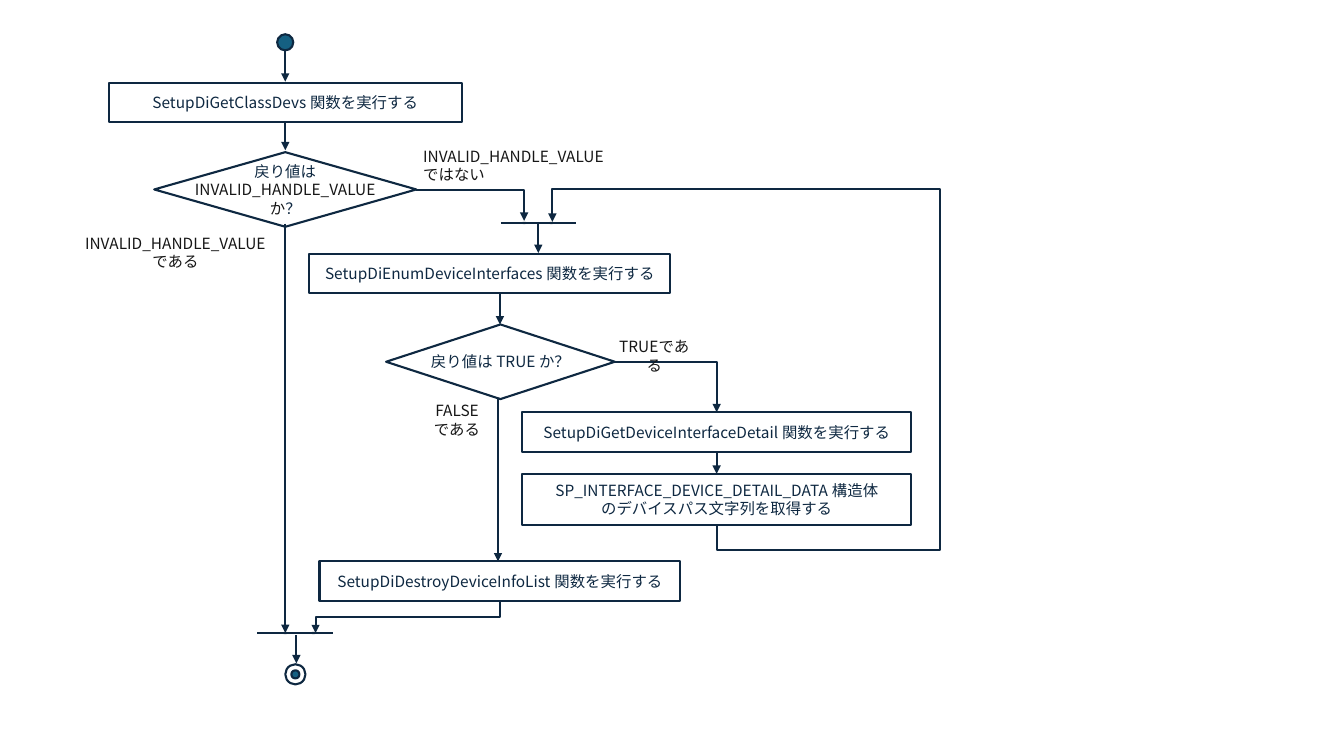
from lxml.etree import SubElement
from pptx import Presentation
from pptx.dml.color import RGBColor
from pptx.enum.shapes import MSO_CONNECTOR as Link, MSO_SHAPE as Shape
from pptx.enum.text import MSO_ANCHOR as Anchor, MSO_AUTO_SIZE as AutoSize, PP_ALIGN as Align
from pptx.oxml.ns import qn
from pptx.util import Pt

NAVY = RGBColor(0x0E, 0x28, 0x41)
INK = RGBColor(0x16, 0x16, 0x16)
TEAL = RGBColor(0x15, 0x60, 0x82)
GREY = RGBColor(0xE8, 0xE8, 0xE8)
WHITE = RGBColor(0xFF, 0xFF, 0xFF)


class FlowChart:
    font = "Noto Sans CJK JP"
    size = 11
    stroke = 1.5

    def __init__(self, page):
        self.shapes = page.shapes

    def fill_text(self, frame, lines, color=NAVY, align=Align.CENTER, wrap=True):
        """Fill a text frame; a line is a string or a list of (text, colour) spans."""
        frame.word_wrap = wrap
        for index, line in enumerate(lines):
            para = frame.paragraphs[0] if index == 0 else frame.add_paragraph()
            para.alignment = align
            for text, ink in [(line, color)] if isinstance(line, str) else line:
                span = para.add_run()
                span.text = text
                span.font.size = Pt(self.size)
                span.font.color.rgb = ink
                span.font.name = self.font
                SubElement(span.font._element, qn("a:ea"), typeface=self.font)

    def shape(self, kind, left, top, width, height, fill=WHITE, outlined=True):
        shape = self.shapes.add_shape(kind, Pt(left), Pt(top), Pt(width), Pt(height))
        shape.shadow.inherit = False
        if fill is None:
            shape.fill.background()
        else:
            shape.fill.solid()
            shape.fill.fore_color.rgb = fill
        if outlined:
            shape.line.color.rgb = NAVY
            shape.line.width = Pt(self.stroke)
        else:
            shape.line.fill.background()
        return shape

    def action(self, left, top, width, *lines, height=28.1):
        box = self.shape(Shape.RECTANGLE, left, top, width, height)
        box.text_frame.vertical_anchor = Anchor.MIDDLE
        self.fill_text(box.text_frame, lines)

    def decision(self, left, top, width, *lines):
        diamond = self.shape(Shape.DIAMOND, left, top, width, 53.3)
        diamond.text_frame.vertical_anchor = Anchor.MIDDLE
        self.fill_text(diamond.text_frame, lines, wrap=False)

    def circle(self, left, top, size, **style):
        self.shape(Shape.OVAL, left, top, size, size, **style)

    def label(self, left, top, width, *lines, height=33.8, align=Align.CENTER):
        box = self.shapes.add_textbox(Pt(left), Pt(top), Pt(width), Pt(height))
        box.text_frame.auto_size = AutoSize.SHAPE_TO_FIT_TEXT
        self.fill_text(box.text_frame, lines, color=INK, align=align)

    def line(self, x1, y1, x2, y2, kind=Link.STRAIGHT, arrow=True):
        line = self.shapes.add_connector(kind, Pt(x1), Pt(y1), Pt(x2), Pt(y2))
        line.line.color.rgb = NAVY
        line.line.width = Pt(self.stroke)
        properties = line._element.spPr
        if arrow:
            SubElement(properties.find(qn("a:ln")), qn("a:tailEnd"), type="triangle")
        SubElement(properties, qn("a:effectLst"))
        return line

    def down(self, x, top, bottom):
        self.line(x, top, x, bottom)

    def bar(self, left, y):
        self.line(left, y, left + 54, y, arrow=False)

    def elbow(self, x1, y1, x2, y2, preset="bentConnector2", adjust=(), upright=False):
        """Bent arrow; an upright one leaves vertically, so its frame is turned by 90 degrees."""
        if upright:
            mid_x, mid_y = (x1 + x2) / 2, (y1 + y2) / 2
            half_x, half_y = (x2 - x1) / 2, (y2 - y1) / 2
            x1, y1 = mid_x - half_y, mid_y + half_x
            x2, y2 = mid_x + half_y, mid_y - half_x
        properties = self.line(x1, y1, x2, y2, kind=Link.ELBOW)._element.spPr
        if upright:
            properties.find(qn("a:xfrm")).set("rot", str(90 * 60000))
        geometry = properties.find(qn("a:prstGeom"))
        geometry.set("prst", preset)
        guides = geometry.find(qn("a:avLst"))
        for number, percent in enumerate(adjust, 1):
            SubElement(guides, qn("a:gd"), name=f"adj{number}", fmla=f"val {round(percent * 1000)}")


def main():
    deck = Presentation()
    deck.slide_width, deck.slide_height = Pt(960), Pt(540)
    chart = FlowChart(deck.slides.add_slide(deck.slide_layouts[6]))

    chart.action(77.8, 59, 252, "SetupDiGetClassDevs 関数を実行する")
    chart.action(221, 181.4, 257.8, "SetupDiEnumDeviceInterfaces 関数を実行する")
    chart.action(373, 294.5, 278, "SetupDiGetDeviceInterfaceDetail 関数を実行する")
    chart.action(373, 338.4, 278, "SP_INTERFACE_DEVICE_DETAIL_DATA 構造体",
                 "のデバイスパス文字列を取得する", height=36.7)
    chart.action(228.2, 401, 257.8, "SetupDiDestroyDeviceInfoList 関数を実行する")
    chart.decision(110.2, 108.7, 187.2, "戻り値は", [("INVALID_HANDLE_VALUE", INK)],
                   [("か", INK), ("？", NAVY)])
    chart.decision(275.8, 231.8, 163.4, "戻り値は TRUE か？")

    for left, top in ((202.3, 450.7), (222.5, 450.7), (373, 157.7), (392.4, 157.7)):
        chart.circle(left, top, 2.9, fill=GREY, outlined=False)

    for x, top, bottom in ((203.8, 35.3, 58.3), (203.8, 87.8, 107.3), (203.8, 159.8, 452.2),
                           (384.5, 158.4, 180.7), (357.1, 209.5, 231.8), (355.7, 284.4, 401),
                           (511.9, 322.6, 338.4), (211.7, 453.6, 473.8)):
        chart.down(x, top, bottom)
    chart.elbow(297.4, 135.4, 374.4, 157.7)
    chart.elbow(439.2, 258.5, 511.9, 294.5)
    chart.elbow(357.1, 429.1, 225.4, 452.2, "bentConnector3", (50,), upright=True)
    chart.elbow(511.9, 375.1, 394.6, 158.4, "bentConnector5", (-8.3, -135.8, 110.7), upright=True)
    chart.bar(357.8, 159)
    chart.bar(183.6, 452.2)

    chart.label(46.8, 163.4, 157, "INVALID_HANDLE_VALUE", "である")
    chart.label(295.2, 101.5, 157, "INVALID_HANDLE_VALUE", "ではない", align=Align.LEFT)
    chart.label(302.4, 283, 48.2, "FALSE", "である")
    chart.label(430.6, 237.6, 73.4, "TRUEである", height=20.9)

    chart.circle(198, 24.5, 11.5, fill=TEAL)
    chart.circle(208.1, 478.8, 5.8, fill=TEAL)
    chart.circle(203.8, 474.5, 14.4, fill=None)

    deck.save("out.pptx")


if __name__ == "__main__":
    main()
